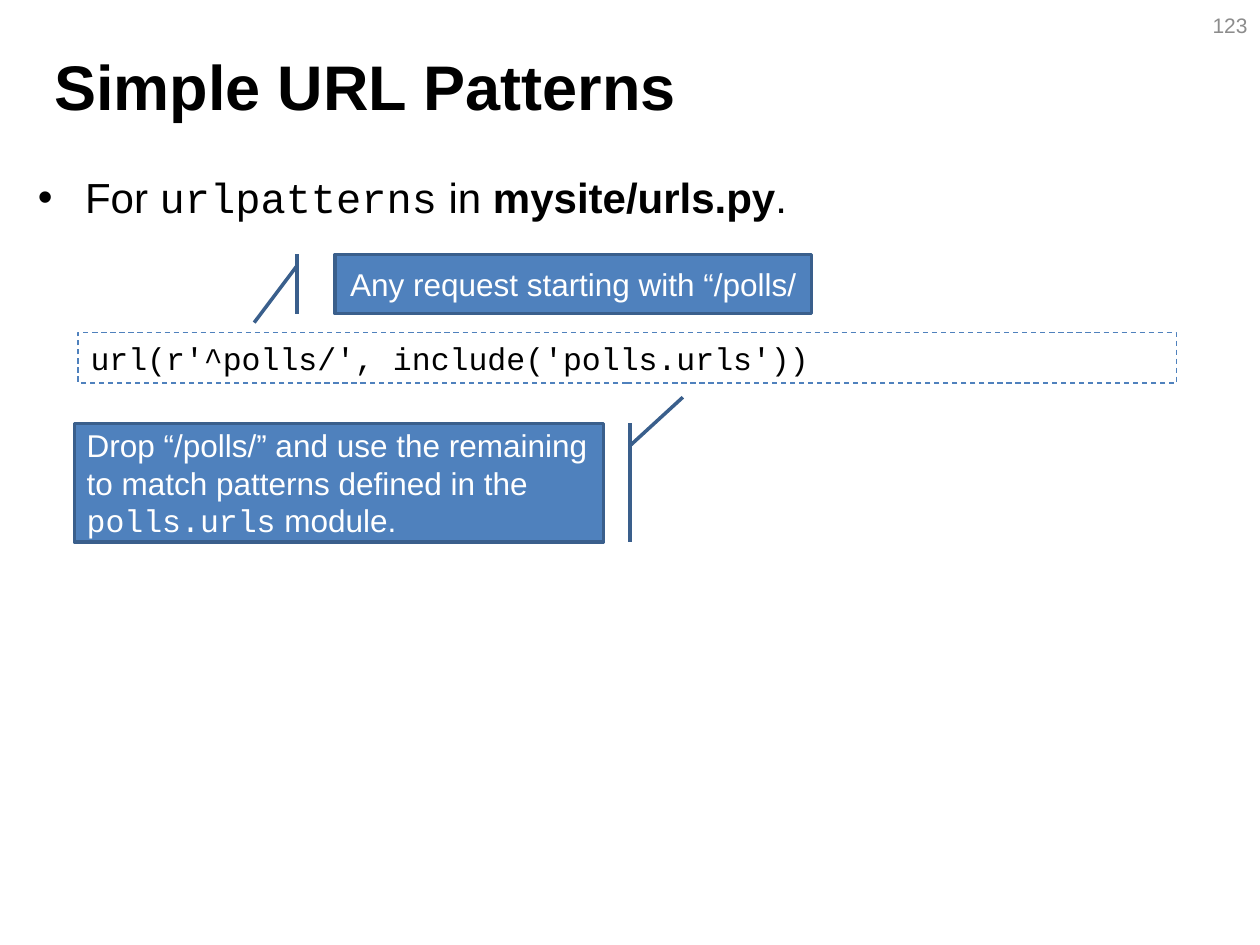
from pptx import Presentation
from pptx.dml.color import RGBColor
from pptx.enum.dml import MSO_LINE
from pptx.enum.shapes import MSO_SHAPE
from pptx.enum.text import MSO_ANCHOR, MSO_AUTO_SIZE, PP_ALIGN
from pptx.oxml.ns import qn
from pptx.util import Inches, Pt

RECT = MSO_SHAPE.RECTANGLE
CALLOUT = MSO_SHAPE.LINE_CALLOUT_1_BORDER_AND_ACCENT_BAR
DASH = MSO_LINE.DASH
TOP, MIDDLE = MSO_ANCHOR.TOP, MSO_ANCHOR.MIDDLE
LEFT, CENTER, RIGHT = PP_ALIGN.LEFT, PP_ALIGN.CENTER, PP_ALIGN.RIGHT
FIT = MSO_AUTO_SIZE.SHAPE_TO_FIT_TEXT
SANS, MONO = "Arial", "Courier New"
COLORS = {"text": "000000", "number": "8C8C8C", "accent": "4F81BD",
          "border": "3A5F8C", "white": "FFFFFF"}


class SlideBuilder:
    def __init__(self, slide):
        self.s = slide

    def color(self, name):
        return RGBColor.from_string(COLORS[name])

    def set_text(self, shape, runs, size, color="text", font=SANS, align=LEFT, anchor=TOP):
        tf = shape.text_frame
        tf.word_wrap = True
        tf.vertical_anchor = anchor
        p = tf.paragraphs[0]
        p.alignment = align
        p.font.size = Pt(size)
        p.font.color.rgb = self.color(color)
        same_font = all(run_font == font for _, run_font, _ in runs)
        same_bold = len({bold for _, _, bold in runs}) == 1
        if same_font:
            p.font.name = font
        if same_bold:
            p.font.bold = runs[0][2]
        for text, run_font, bold in runs:
            r = p.add_run()
            r.text = text
            if not same_font:
                r.font.name = run_font
            if not same_bold:
                r.font.bold = bold

    def place(self, shape, box):
        shape.left, shape.top, shape.width, shape.height = map(Inches, box)

    def title(self, box, text):
        shape = self.s.shapes.title
        self.place(shape, box)
        self.set_text(shape, [(text, SANS, True)], 36, anchor=MIDDLE)

    def body(self, box, runs):
        shape = self.s.placeholders[1]
        self.place(shape, box)
        self.set_text(shape, runs, 24)

    def number(self, box, text):
        shape = self.s.shapes.add_textbox(*map(Inches, box))
        self.set_text(shape, [(text, SANS, False)], 12, "number", align=RIGHT, anchor=MIDDLE)

    def code(self, box, text):
        shape = self.s.shapes.add_shape(RECT, *map(Inches, box))
        shape.shadow.inherit = False
        shape.fill.background()
        shape.line.color.rgb = self.color("accent")
        shape.line.width = Pt(0.75)
        shape.line.dash_style = DASH
        self.set_text(shape, [(text, MONO, False)], 18, font=MONO)
        shape.text_frame.auto_size = FIT

    def callout(self, box, runs, pointer, align=LEFT, flip=False):
        shape = self.s.shapes.add_shape(CALLOUT, *map(Inches, box))
        shape.shadow.inherit = False
        shape.fill.solid()
        shape.fill.fore_color.rgb = self.color("accent")
        shape.line.color.rgb = self.color("border")
        shape.line.width = Pt(2)
        for i, value in enumerate(pointer):
            shape.adjustments[i] = value
        if flip:
            shape.element.spPr.find(qn("a:xfrm")).set("flipH", "1")
        self.set_text(shape, runs, 18, "white", align=align, anchor=MIDDLE)


def main():
    prs = Presentation()
    prs.slide_width, prs.slide_height = Inches(10), Inches(7.5)
    b = SlideBuilder(prs.slides.add_slide(prs.slide_layouts[1]))

    b.title((0.33, 0.05, 9, 1.25), "Simple URL Patterns")
    b.body((0.2, 1.31, 9.67, 5.83), [
        ("For ", SANS, False), ("urlpatterns", MONO, False), (" in ", SANS, False),
        ("mysite/urls.py", SANS, True), (".", SANS, False)])
    b.number((7.67, 0, 2.33, 0.4), "123")
    b.code((0.62, 2.64, 8.72, 0.4), "url(r'^polls/', include('polls.urls'))")
    b.callout((2.66, 2.02, 3.78, 0.47),
              [("Any request starting with “/polls/", SANS, False)],
              (0.19, -0.08, 1.15, -0.17), align=CENTER)
    b.callout((0.59, 3.36, 4.2, 0.94), [
        ("Drop “/polls/” and use the remaining to match patterns defined in the ", SANS, False),
        ("polls.urls", MONO, False), (" module.", SANS, False)],
        (0.19, -0.05, -0.22, -0.15), flip=True)

    prs.save("out.pptx")


if __name__ == "__main__":
    main()
